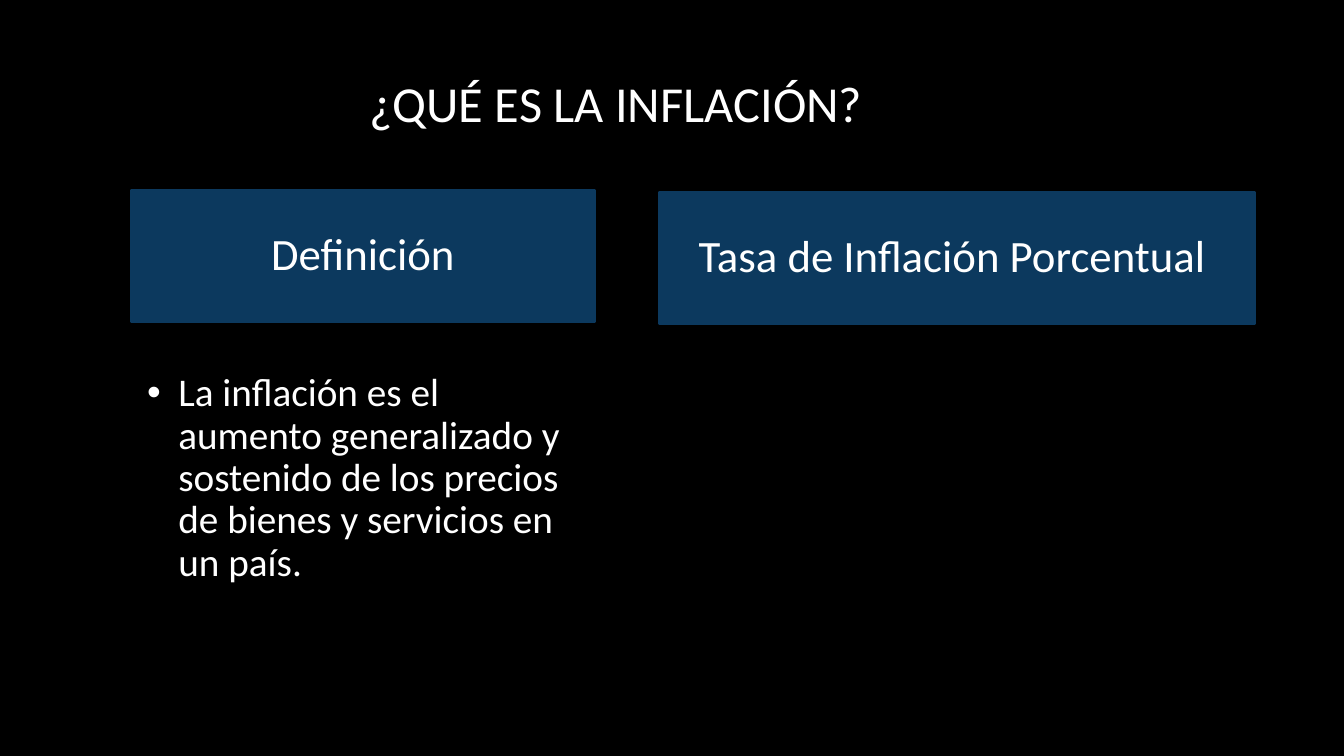
from dataclasses import dataclass

from pptx import Presentation
from pptx.dml.color import RGBColor
from pptx.enum import shapes, text
from pptx.oxml import parse_xml
from pptx.oxml.ns import nsdecls
from pptx.util import Inches, Pt


@dataclass(frozen=True)
class Theme:
    font: str = "Calibri"
    background: RGBColor = RGBColor(0x00, 0x00, 0x00)
    band: RGBColor = RGBColor(0x0C, 0x39, 0x5E)
    ink: RGBColor = RGBColor(0xFF, 0xFF, 0xFF)
    title_size: int = 36
    heading_size: int = 32
    body_size: int = 28
    line_width: float = 1.5


THEME = Theme()


def write(shape, words, *, size, align=text.PP_ALIGN.CENTER,
          anchor=text.MSO_ANCHOR.MIDDLE, insets=(0.1, 0.05, 0.1, 0.05),
          spacing=1.0, bullet_indent=None):
    frame = shape.text_frame
    frame.word_wrap = True
    frame.vertical_anchor = anchor
    (frame.margin_left, frame.margin_top,
     frame.margin_right, frame.margin_bottom) = map(Inches, insets)
    paragraph = frame.paragraphs[0]
    paragraph.alignment = align
    paragraph.line_spacing = spacing
    run = paragraph.add_run()
    run.text = words
    run.font.name = THEME.font
    run.font.size = Pt(size)
    run.font.color.rgb = THEME.ink
    if bullet_indent:
        properties = paragraph._p.get_or_add_pPr()
        properties.set("marL", str(Inches(bullet_indent)))
        properties.set("indent", str(-Inches(bullet_indent)))
        for bullet in ('<a:buFont {} typeface="Arial"/>', '<a:buChar {} char="•"/>'):
            properties.append(parse_xml(bullet.format(nsdecls("a"))))


def add_title(slide, left, top, width, height, words):
    title = slide.shapes.add_textbox(*map(Inches, (left, top, width, height)))
    write(title, words, size=THEME.title_size, spacing=0.9)


def add_column(slide, left, top, width, heading, definition=None):
    band_height, body_offset, body_height = 1.3, 1.65, 2.28
    band = slide.shapes.add_shape(
        shapes.MSO_SHAPE.RECTANGLE,
        *map(Inches, (left, top, width, band_height)))
    band.shadow.inherit = False
    band.fill.solid()
    band.fill.fore_color.rgb = THEME.band
    band.line.color.rgb = THEME.band
    band.line.width = Pt(THEME.line_width)
    write(band, heading, size=THEME.heading_size,
          insets=(0.25, 0.14, 0.25, 0.14), spacing=0.9)
    if definition:
        body = slide.shapes.add_textbox(
            *map(Inches, (left, top + body_offset, width, body_height)))
        write(body, definition, size=THEME.body_size,
              align=text.PP_ALIGN.LEFT, anchor=text.MSO_ANCHOR.TOP,
              insets=(0.16, 0.16, 0.22, 0.24), spacing=0.9, bullet_indent=0.31)


def main():
    deck = Presentation()
    deck.slide_width, deck.slide_height = Inches(13.33), Inches(7.5)
    slide = deck.slides.add_slide(deck.slide_layouts[6])
    slide.background.fill.solid()
    slide.background.fill.fore_color.rgb = THEME.background
    add_title(slide, 0.57, 0.44, 11.08, 1.22, "¿QUÉ ES LA INFLACIÓN?")
    add_column(slide, 1.3, 1.89, 4.6, "Definición",
               "La inflación es el aumento generalizado y sostenido de los "
               "precios de bienes y servicios en un país.")
    add_column(slide, 6.54, 1.91, 5.91, "Tasa de Inflación Porcentual ")
    deck.save("out.pptx")


if __name__ == "__main__":
    main()
